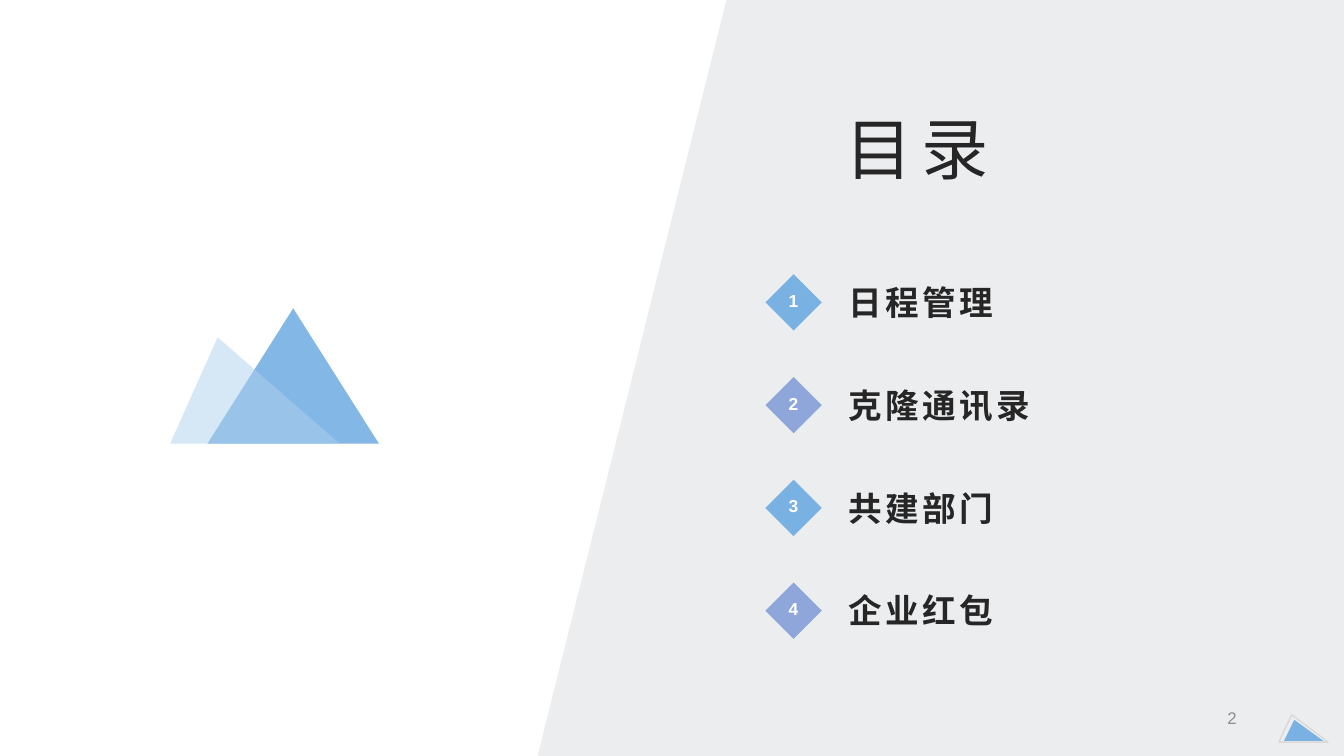
from dataclasses import dataclass
from typing import Any, Optional

from pptx import Presentation
from pptx.dml.color import RGBColor
from pptx.enum.shapes import MSO_SHAPE
from pptx.enum.text import MSO_ANCHOR, MSO_AUTO_SIZE, PP_ALIGN
from pptx.oxml.ns import qn
from pptx.util import Cm, Pt
from lxml.etree import SubElement

WIDTH, HEIGHT = 33.87, 19.05
BLUE, VIOLET, DARK = "79B1E3", "8EA6D9", "262626"
FIRST_CENTRE, ROW_STEP = 7.62, 2.59
DIAMOND_SIZE, LABEL_HEIGHT = 1.42, 1.75
TOPICS = ["日程管理", "克隆通讯录", "共建部门", "企业红包"]


@dataclass
class Box:
    """Position and size in centimetres."""

    left: float
    top: float
    width: float
    height: float

    def lengths(self) -> list[Cm]:
        """Return the four lengths in the order python-pptx expects."""
        return [Cm(value) for value in (self.left, self.top, self.width, self.height)]


@dataclass
class Triangle:
    """A decorative triangle with its apex as a share of the width."""

    box: Box
    apex: float
    fill: Optional[str] = None
    opacity: int = 100
    line: Optional[str] = None


@dataclass
class TextStyle:
    """Format of a one-line text."""

    size: float
    color: str
    bold: bool = False
    spacing: float = 0
    align: Any = PP_ALIGN.LEFT
    line_spacing: float = 1.0
    wrap: bool = True
    bottom_inset: float = 0.13


TRIANGLES = [
    Triangle(Box(5.23, 7.77, 4.32, 3.41), 0.5, "3187D4", 60),
    Triangle(Box(4.29, 8.5, 4.27, 2.68), 0.28, "AFD0EE", 50),
    Triangle(Box(32.23, 18.01, 1.24, 0.69), 0.26, line="D9D9D9"),
    Triangle(Box(32.36, 18.14, 0.99, 0.53), 0.26, BLUE),
]
TITLE = TextStyle(48, DARK, spacing=6)
TOPIC = TextStyle(24, DARK, bold=True, spacing=2.5, bottom_inset=0)
NUMBER = TextStyle(12.4, "FFFFFF", bold=True, align=PP_ALIGN.CENTER, line_spacing=0.8, wrap=False)
PAGE_NUMBER = TextStyle(12, "8C8C8C", align=PP_ALIGN.RIGHT)


def apply(target: Any, values: dict[str, Any]) -> None:
    """Set each attribute in the dict on the target."""
    for name, value in values.items():
        setattr(target, name, value)


def paint(fill_format: Any, color: str) -> None:
    """Give a fill a solid colour."""
    fill_format.solid()
    fill_format.fore_color.rgb = RGBColor.from_string(color)


def finish_shape(shape: Any, fill: Optional[str], line: Optional[str] = None) -> None:
    """Set fill and line and remove the shadow."""
    shape.shadow.inherit = False
    for target, color in ((shape.fill, fill), (shape.line.fill, line)):
        if color:
            paint(target, color)
        else:
            target.background()


def write_text(shape: Any, text: str, style: TextStyle) -> None:
    """Write one styled line into the shape."""
    frame = shape.text_frame
    apply(frame, {
        "word_wrap": style.wrap, "auto_size": MSO_AUTO_SIZE.NONE,
        "vertical_anchor": MSO_ANCHOR.MIDDLE,
        "margin_left": Cm(0.25), "margin_right": Cm(0.25),
        "margin_top": Cm(0.13), "margin_bottom": Cm(style.bottom_inset),
    })
    paragraph = frame.paragraphs[0]
    apply(paragraph, {"alignment": style.align, "line_spacing": style.line_spacing})
    run = paragraph.add_run()
    run.text = text
    apply(run.font, {"name": "Arial", "size": Pt(style.size), "bold": style.bold})
    paint(run.font.fill, style.color)
    if style.spacing:
        run.font._element.set("spc", str(round(style.spacing * 100)))


def add_text(slide: Any, box: Box, text: str, style: TextStyle) -> None:
    """Add a text box."""
    write_text(slide.shapes.add_textbox(*box.lengths()), text, style)


def add_side_panel(slide: Any) -> None:
    """Draw the slanted grey panel."""
    builder = slide.shapes.build_freeform(Cm(18.31), Cm(0), scale=1.0)
    corners = [(WIDTH, 0), (WIDTH, HEIGHT), (13.55, HEIGHT)]
    builder.add_line_segments([(Cm(x), Cm(y)) for x, y in corners], close=True)
    finish_shape(builder.convert_to_shape(), "ECEDEF")


def add_triangle(slide: Any, triangle: Triangle) -> None:
    """Draw a decorative triangle."""
    shape = slide.shapes.add_shape(MSO_SHAPE.ISOSCELES_TRIANGLE, *triangle.box.lengths())
    shape.adjustments[0] = triangle.apex
    finish_shape(shape, triangle.fill, triangle.line)
    if triangle.line:
        shape.line.width = Pt(1)
    if triangle.opacity < 100:
        color = shape._element.spPr.find(qn("a:solidFill"))[0]
        SubElement(color, qn("a:alpha")).set("val", str(triangle.opacity * 1000))


def add_topic(slide: Any, index: int, topic: str) -> None:
    """Draw a numbered diamond and its topic."""
    centre = FIRST_CENTRE + index * ROW_STEP
    box = Box(19.29, centre - DIAMOND_SIZE / 2, DIAMOND_SIZE, DIAMOND_SIZE)
    diamond = slide.shapes.add_shape(MSO_SHAPE.DIAMOND, *box.lengths())
    finish_shape(diamond, (BLUE, VIOLET)[index % 2])
    write_text(diamond, str(index + 1), NUMBER)
    label = Box(21.13, centre - 0.07 - LABEL_HEIGHT / 2, 10.31, LABEL_HEIGHT)
    add_text(slide, label, topic, TOPIC)


def add_title(slide: Any) -> None:
    """Place the title in front of the panel."""
    title = slide.shapes.title
    names = ("left", "top", "width", "height")
    apply(title, dict(zip(names, Box(21.06, 2.66, 4.83, 2.13).lengths())))
    write_text(title, "目录", TITLE)
    slide.shapes._spTree.append(title._element)


def main() -> None:
    """Build and save the contents slide."""
    presentation = Presentation()
    apply(presentation, {"slide_width": Cm(WIDTH), "slide_height": Cm(HEIGHT)})
    slide = presentation.slides.add_slide(presentation.slide_layouts[5])
    paint(slide.background.fill, "FFFFFF")
    add_side_panel(slide)
    for triangle in TRIANGLES:
        add_triangle(slide, triangle)
    for index, topic in enumerate(TOPICS):
        add_topic(slide, index, topic)
    add_title(slide)
    add_text(slide, Box(23.93, 17.64, 7.49, 0.89), "2", PAGE_NUMBER)
    presentation.save("out.pptx")


if __name__ == "__main__":
    main()
